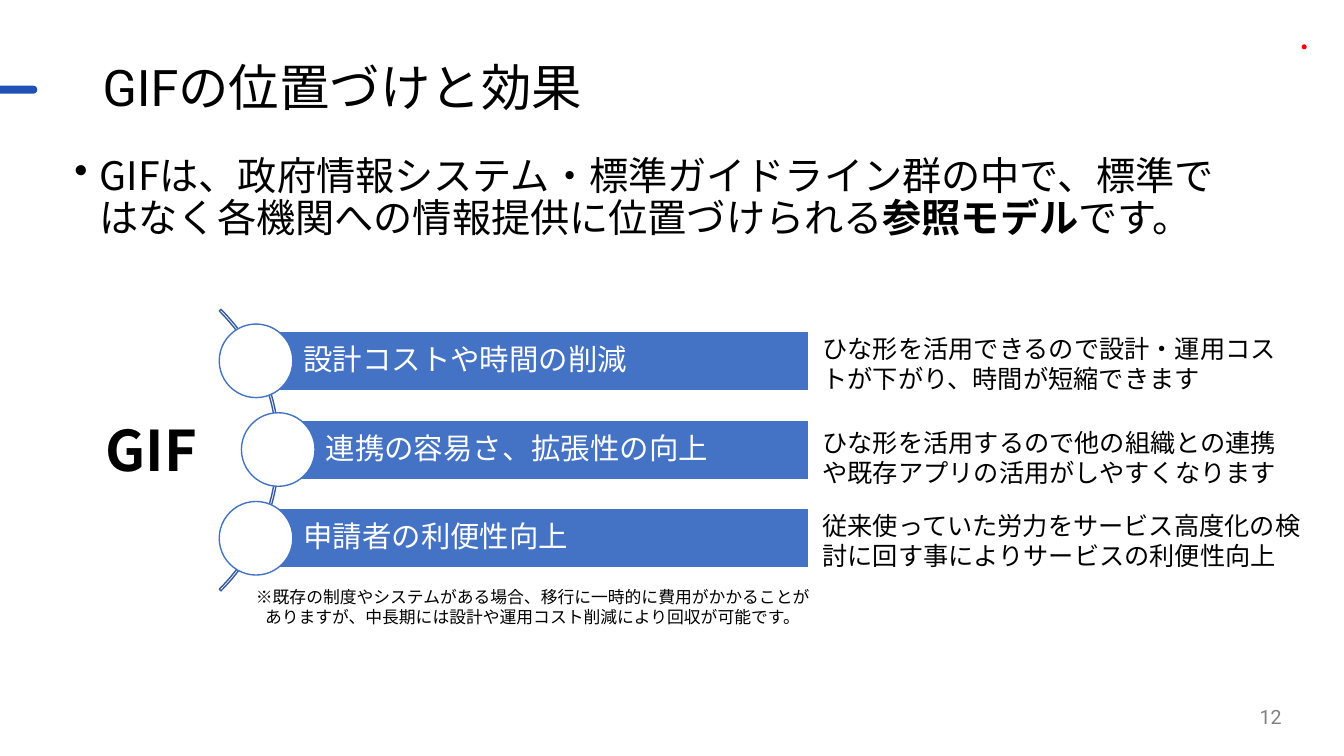
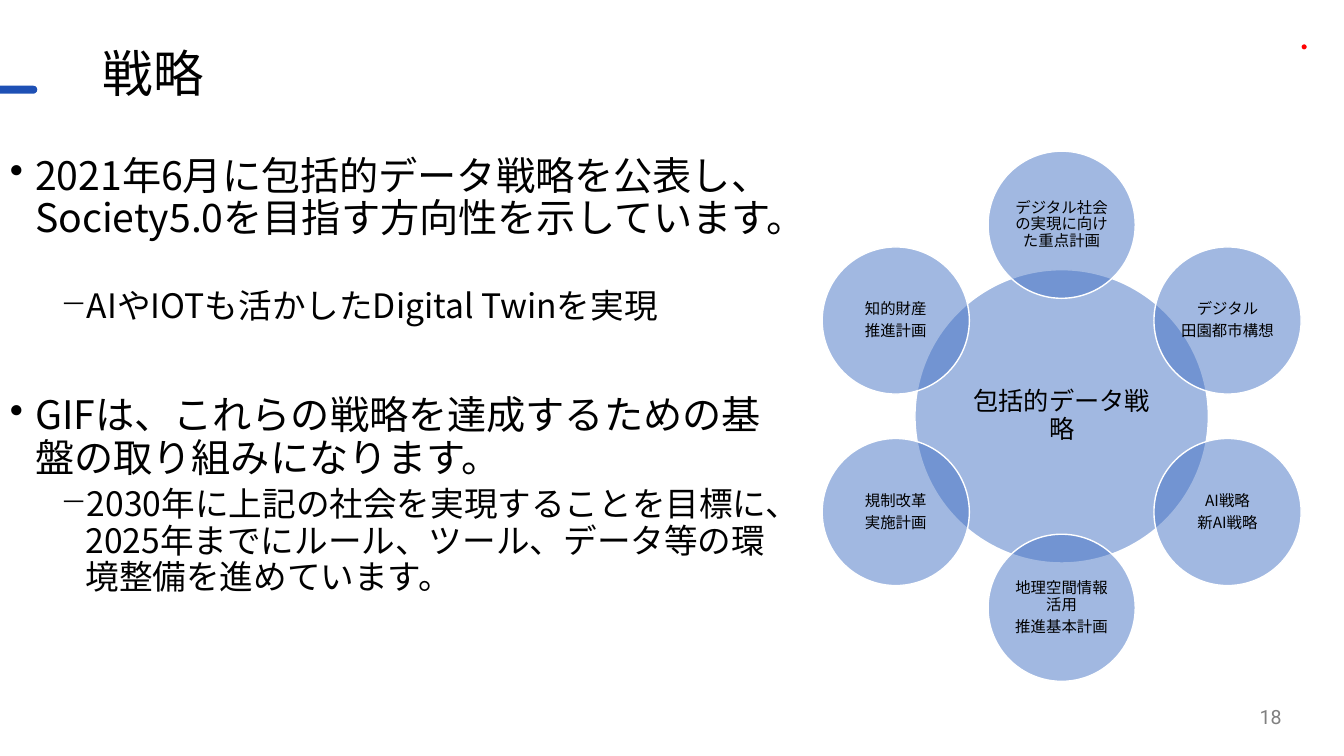
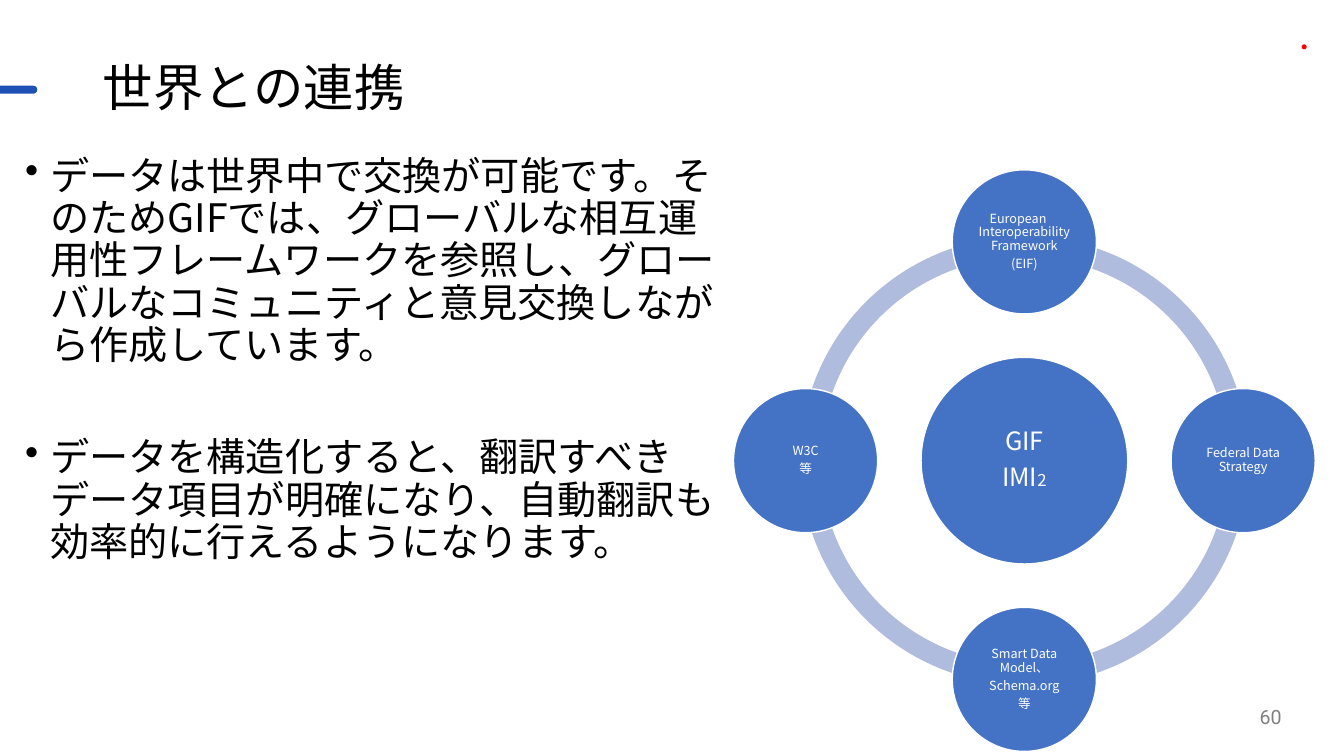
import math

import pptx
import pptx.dml.color
import pptx.enum.lang
import pptx.enum.shapes
import pptx.enum.text
import pptx.oxml
import pptx.oxml.ns
import pptx.util

Inches, Pt = pptx.util.Inches, pptx.util.Pt
SHAPE = pptx.enum.shapes.MSO_SHAPE
ALIGN = pptx.enum.text.PP_ALIGN
ANCHOR = pptx.enum.text.MSO_ANCHOR

SANS, HEAD = "Noto Sans CJK JP", "Roboto"
BLACK, WHITE, GREY = "000000", "FFFFFF", "808080"
BLUE, NAVY, PALE, BAND, RED = "4472C4", "365B9D", "B0BCDE", "1E50B5", "FF0000"

# Body paragraphs: level, space before in points, runs (text, bold)
ROLE = {
    "title": "GIFの位置づけと効果", "top": 0.57, "page": "12",
    "box": (0.64, 1.5, 11.5, 1.62),
    "body": [(0, 10, [
        ("GIFは、政府情報システム・標準ガイドライン群の中で、標準ではなく各機関への情報提供に位置づけられる", False),
        ("参照モデル", True), ("です。", False)])],
}
PLAN = {
    "title": "戦略", "top": 0.43, "page": "18",
    "box": (0, 1.5, 7.8, 2.93),
    "body": [
        (0, 10, [("2021年6月に包括的データ戦略を公表し、Society5.0を目指す方向性を示しています。", False)]),
        (1, 35, [("AIやIOTも活かしたDigital Twinを実現", False)]),
        (0, 50, [("GIFは、これらの戦略を達成するための基盤の取り組みになります。", False)]),
        (1, 5, [("2030年に上記の社会を実現することを目標に、2025年までにルール、ツール、データ等の環境整備を進めています。", False)]),
    ],
}
WORLD = {
    "title": "世界との連携", "top": 0.57, "page": "60",
    "box": (0.15, 1.5, 7.1, 2.25),
    "body": [
        (0, 10, [("データは世界中で交換が可能です。そのためGIFでは、グローバルな相互運用性フレームワークを参照し、"
                  "グローバルなコミュニティと意見交換しながら作成しています。", False)]),
        (0, 50, [("データを構造化すると、翻訳すべきデータ項目が明確になり、自動翻訳も効率的に行えるようになります。", False)]),
    ],
}
# Circle centre x, benefit, note top, note width, note
GAINS = [
    (2.54, "設計コストや時間の削減", 3.26, 4.75,
     "ひな形を活用できるので設計・運用コストが下がり、時間が短縮できます"),
    (2.76, "連携の容易さ、拡張性の向上", 4.19, 4.75,
     "ひな形を活用するので他の組織との連携や既存アプリの活用がしやすくなります"),
    (2.54, "申請者の利便性向上", 5.01, 4.99,
     "従来使っていた労力をサービス高度化の検討に回す事によりサービスの利便性向上"),
]
CAVEAT = ("※既存の制度やシステムがある場合、移行に一時的に費用がかかることがありますが、"
          "中長期には設計や運用コスト削減により回収が可能です。")
# Clockwise from the top
PLANS = [
    ["デジタル社会の実現に向けた重点計画"],
    ["デジタル", "田園都市構想"],
    ["AI戦略", "新AI戦略"],
    ["地理空間情報活用", "推進基本計画"],
    ["規制改革", "実施計画"],
    ["知的財産", "推進計画"],
]
PEERS = [
    ["European　Interoperability Framework", "(EIF)"],
    ["Federal Data Strategy"],
    ["Smart Data Model、", "Schema.org", "等"],
    ["W3C", "等"],
]


def paint(fmt, color):
    fmt.solid()
    fmt.fore_color.rgb = pptx.dml.color.RGBColor.from_string(color)


def add_run(par, text, size, color=BLACK, font=SANS, bold=False):
    run = par.add_run()
    run.text = text
    look = {"size": Pt(size), "name": font, "bold": bold,
            "language_id": pptx.enum.lang.MSO_LANGUAGE_ID.JAPANESE}
    for key, val in look.items():
        setattr(run.font, key, val)
    paint(run.font.fill, color)
    east = pptx.oxml.parse_xml(
        f'<a:ea {pptx.oxml.ns.nsdecls("a")} typeface="{SANS}"/>')
    run.font._element.find(pptx.oxml.ns.qn("a:latin")).addnext(east)


def indent(par, left, hang, mark=None):
    props = par._p.get_or_add_pPr()
    props.set("marL", str(Inches(left)))
    props.set("indent", str(-Inches(hang)))
    if mark:
        props.append(pptx.oxml.parse_xml(
            f'<a:buChar {pptx.oxml.ns.nsdecls("a")} char="{mark}"/>'))


def set_frame(frame, anchor, insets):
    sides = ("margin_left", "margin_top", "margin_right", "margin_bottom")
    look = {"word_wrap": True, "vertical_anchor": anchor}
    look.update(zip(sides, map(Inches, insets)))
    for key, val in look.items():
        setattr(frame, key, val)


def add_box(slide, box, anchor=ANCHOR.TOP):
    frame = slide.shapes.add_textbox(*map(Inches, box)).text_frame
    set_frame(frame, anchor, (0.1, 0.05, 0.1, 0.05))
    return frame


def add_note(slide, box, text, size, **look):
    par = add_box(slide, box).paragraphs[0]
    add_run(par, text, size, **look)
    return par


def add_part(slide, kind, box, fill=None, line=None, alpha=None):
    """Add a preset shape; alpha is the opacity in percent."""
    part = slide.shapes.add_shape(kind, *map(Inches, box))
    part.shadow.inherit = False
    if fill:
        paint(part.fill, fill)
    else:
        part.fill.background()
    if alpha:
        part.fill._xPr.find(".//" + pptx.oxml.ns.qn("a:srgbClr")).append(
            pptx.oxml.parse_xml(
                f'<a:alpha {pptx.oxml.ns.nsdecls("a")} val="{alpha * 1000}"/>'))
    if line:
        paint(part.line.fill, line)
        part.line.width = Pt(1)
    else:
        part.line.fill.background()
    return part


def add_disc(slide, x, y, size, **look):
    """Add a circle centred on x, y."""
    box = (x - size / 2, y - size / 2, size, size)
    return add_part(slide, SHAPE.OVAL, box, **look)


def label(part, lines, size, color, insets, align=ALIGN.CENTER):
    """Write lines in a shape; a line is a text or a list of (text, size)."""
    frame = part.text_frame
    set_frame(frame, ANCHOR.MIDDLE, insets)
    for i, line in enumerate(lines):
        par = frame.add_paragraph() if i else frame.paragraphs[0]
        look = {"alignment": align, "line_spacing": 0.9,
                "space_after": Pt(round(size * 0.35, 1))}
        for key, val in look.items():
            setattr(par, key, val)
        for text, pts in [(line, size)] if isinstance(line, str) else line:
            add_run(par, text, pts, color)


def add_ring(slide, mid, radius, size, items, pts, color, inset, **look):
    """Place labelled circles evenly around mid, clockwise from the top."""
    for i, lines in enumerate(items):
        turn = 2 * math.pi * i / len(items)
        x = mid[0] + radius * math.sin(turn)
        y = mid[1] - radius * math.cos(turn)
        disc = add_disc(slide, x, y, size, line=WHITE, **look)
        label(disc, lines, pts, color, [inset] * 4)


def start(deck, page):
    """Add a slide with the shared marks, title, body and page number."""
    slide = deck.slides.add_slide(deck.slide_layouts[6])
    bar = add_part(slide, SHAPE.ROUNDED_RECTANGLE, (-0.1, 0.85, 0.47, 0.08), BAND)
    bar.adjustments[0] = 0.5
    add_part(slide, SHAPE.OVAL, (12.91, 0.44, 0.05, 0.05), RED)

    frame = add_box(slide, page["box"])
    for i, (level, gap, runs) in enumerate(page["body"]):
        par = frame.add_paragraph() if i else frame.paragraphs[0]
        par.level, par.line_spacing, par.space_before = level, 0.9, Pt(gap)
        indent(par, 0.25 + level * 0.5, 0.25, "•−"[level])
        for text, bold in runs:
            add_run(par, text, 28 - 4 * level, bold=bold)

    title = add_box(slide, (0.92, page["top"], 11.5, 0.65), ANCHOR.MIDDLE)
    title.paragraphs[0].line_spacing = 0.9
    add_run(title.paragraphs[0], page["title"], 36, font=HEAD)

    number = add_box(slide, (9.81, 6.91, 3, 0.4), ANCHOR.MIDDLE)
    number.paragraphs[0].alignment = ALIGN.RIGHT
    add_run(number.paragraphs[0], page["page"], 14, GREY, HEAD)
    return slide


def draw_role(deck):
    slide = start(deck, ROLE)
    arc = add_part(slide, SHAPE.BLOCK_ARC, (-1.18, 2.49, 3.95, 3.95), line=NAVY)
    for i, val in enumerate((189, 27, 0.006)):
        arc.adjustments[i] = val
    right, high = 8.02, 0.59
    for i, (x, gain, top, wide, note) in enumerate(GAINS):
        y = 3.58 + 0.88 * i
        bar = add_part(slide, SHAPE.RECTANGLE, (x, y - high / 2, right - x, high),
                       BLUE, WHITE)
        label(bar, [gain], 21, WHITE, (0.47, 0.06, 0.06, 0.06), ALIGN.LEFT)
        add_disc(slide, x, y, 0.73, fill=WHITE, line=BLUE)
        add_note(slide, (8.06, top, wide, 0.71), note, 18)
    add_note(slide, (0.95, 4.07, 1.38, 0.77), "GIF", 40, bold=True)
    indent(add_note(slide, (2.44, 5.77, 5.74, 0.5), CAVEAT, 12), 0.09, 0.09)


def draw_plan(deck):
    slide = start(deck, PLAN)
    mid = (10.53, 4.13)
    look = {"fill": BLUE, "alpha": 50}
    hub = add_disc(slide, *mid, 2.91, line=WHITE, **look)
    label(hub, ["包括的データ戦略"], 18, BLACK, [0.03] * 4)
    add_ring(slide, mid, 1.9, 1.46, PLANS, 11, BLACK, 0.02, **look)


def draw_world(deck):
    slide = start(deck, WORLD)
    mid, size = (10.16, 4.57), 4.45
    loop = add_part(slide, SHAPE.DONUT,
                    (mid[0] - size / 2, mid[1] - size / 2, size, size), PALE)
    loop.adjustments[0] = 0.046
    hub = add_disc(slide, *mid, 2.05, fill=BLUE, line=WHITE)
    label(hub, ["GIF", [("IMI", 18), ("2", 12)]], 18, WHITE, [0.03] * 4)
    add_ring(slide, mid, 2.17, 1.43, PEERS, 9, WHITE, 0.01, fill=BLUE)


def main():
    deck = pptx.Presentation()
    deck.slide_width, deck.slide_height = Inches(13.33), Inches(7.5)
    for draw in (draw_role, draw_plan, draw_world):
        draw(deck)
    deck.save("out.pptx")


if __name__ == "__main__":
    main()
